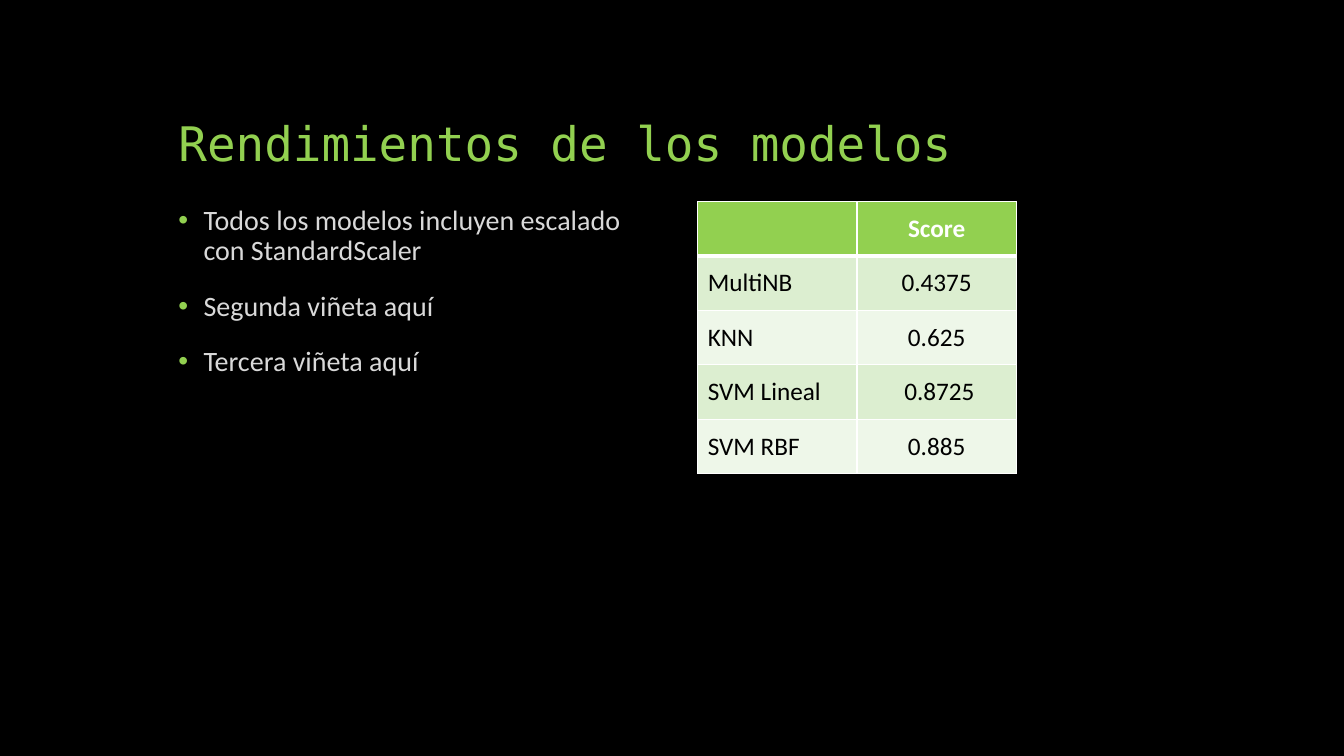
from typing import NamedTuple

from lxml import etree
from pptx import Presentation
from pptx.dml.color import RGBColor
from pptx.enum.text import MSO_ANCHOR, MSO_AUTO_SIZE, PP_ALIGN
from pptx.oxml.ns import qn
from pptx.util import Inches, Pt

LEFT, CENTER = PP_ALIGN.LEFT, PP_ALIGN.CENTER
TOP, MIDDLE, BOTTOM = MSO_ANCHOR.TOP, MSO_ANCHOR.MIDDLE, MSO_ANCHOR.BOTTOM
NO_FIT = MSO_AUTO_SIZE.NONE

COLORS = {
    "background": "000000",
    "accent": "92D050",
    "body": "D9D9D9",
    "light": "FFFFFF",
    "dark": "000000",
    "band_odd": "DCEED0",
    "band_even": "EEF7E9",
}
BODY_FONT = "Calibri"
TITLE_FONT = "DejaVu Sans Mono"
TITLE = "Rendimientos de los modelos"
BULLETS = [
    "Todos los modelos incluyen escalado con StandardScaler",
    "Segunda viñeta aquí",
    "Tercera viñeta aquí",
]
LEFT_EDGE, CONTENT_TOP = 1.67, 2
TABLE_LEFT, COLUMN_WIDTH, ROW_HEIGHT = 6.92, 1.58, 0.54
THIN, THICK = 1, 3


class ScoreRow(NamedTuple):
    model: str
    score: str


SCORES = [
    ScoreRow("", "Score"),
    ScoreRow("MultiNB", "0.4375"),
    ScoreRow("KNN", "0.625"),
    ScoreRow("SVM Lineal", " 0.8725"),
    ScoreRow("SVM RBF", "0.885"),
]


def rgb(name: str) -> RGBColor:
    return RGBColor.from_string(COLORS[name])


def apply_format(target, values: dict) -> None:
    for name, value in values.items():
        setattr(target, name, value)


def write_text(para, text: str, color: str, font: dict, layout: dict) -> None:
    span = para.add_run()
    span.text = text
    apply_format(span.font, font)
    span.font.color.rgb = rgb(color)
    apply_format(para, layout)


def add_bullet(para) -> None:
    """Give the paragraph a hanging accent-coloured bullet."""
    properties = para._p.get_or_add_pPr()
    properties.set("marL", str(Inches(0.25)))
    properties.set("indent", str(Inches(-0.25)))
    color = etree.SubElement(properties, qn("a:buClr"))
    etree.SubElement(color, qn("a:srgbClr"), val=COLORS["accent"])
    etree.SubElement(properties, qn("a:buFont"), typeface="Arial")
    etree.SubElement(properties, qn("a:buChar"), char="•")


def set_borders(cell, top: int, bottom: int) -> None:
    """Draw light borders; top and bottom widths are in points."""
    properties = cell._tc.get_or_add_tcPr()
    widths = {"a:lnL": THIN, "a:lnR": THIN, "a:lnT": top, "a:lnB": bottom}
    for position, (tag, width) in enumerate(widths.items()):
        line = etree.Element(qn(tag), w=str(Pt(width)))
        fill = etree.SubElement(line, qn("a:solidFill"))
        etree.SubElement(fill, qn("a:srgbClr"), val=COLORS["light"])
        properties.insert(position, line)


def add_title(page) -> None:
    title = page.shapes.title
    apply_format(title, {"left": Inches(LEFT_EDGE), "top": Inches(0.5),
                         "width": Inches(10), "height": Inches(1.25)})
    apply_format(title.text_frame, {"vertical_anchor": BOTTOM, "word_wrap": True,
                                    "auto_size": NO_FIT})
    write_text(title.text_frame.paragraphs[0], TITLE, "accent",
               {"name": TITLE_FONT, "size": Pt(34)},
               {"alignment": LEFT, "line_spacing": 0.9})


def add_bullets(page) -> None:
    box = page.shapes.add_textbox(Inches(LEFT_EDGE), Inches(CONTENT_TOP),
                                  Inches(4.75), Inches(4.67))
    frame = box.text_frame
    apply_format(frame, {"vertical_anchor": TOP, "word_wrap": True,
                         "auto_size": NO_FIT})
    for index, text in enumerate(BULLETS):
        para = frame.add_paragraph() if index else frame.paragraphs[0]
        write_text(para, text, "body", {"name": BODY_FONT, "size": Pt(20)},
                   {"line_spacing": 0.9, "space_before": Pt(18)})
        add_bullet(para)


def add_scores(page) -> None:
    columns = len(ScoreRow._fields)
    table = page.shapes.add_table(
        len(SCORES), columns, Inches(TABLE_LEFT), Inches(CONTENT_TOP),
        Inches(COLUMN_WIDTH * columns), Inches(ROW_HEIGHT * len(SCORES))).table
    for row_index, row in enumerate(SCORES):
        header = row_index == 0
        band = "band_odd" if row_index % 2 else "band_even"
        for column_index, text in enumerate(row):
            cell = table.cell(row_index, column_index)
            cell.vertical_anchor = MIDDLE
            cell.fill.solid()
            cell.fill.fore_color.rgb = rgb("accent" if header else band)
            set_borders(cell, THICK if row_index == 1 else THIN,
                        THICK if header else THIN)
            if text:
                write_text(cell.text_frame.paragraphs[0], text,
                           "light" if header else "dark",
                           {"name": BODY_FONT, "size": Pt(18), "bold": header},
                           {"alignment": CENTER if column_index else LEFT})


def main() -> None:
    deck = Presentation()
    apply_format(deck, {"slide_width": Inches(13.33), "slide_height": Inches(7.5)})
    page = deck.slides.add_slide(deck.slide_layouts.get_by_name("Title Only"))
    page.background.fill.solid()
    page.background.fill.fore_color.rgb = rgb("background")
    add_title(page)
    add_bullets(page)
    add_scores(page)
    deck.save("out.pptx")


if __name__ == "__main__":
    main()
